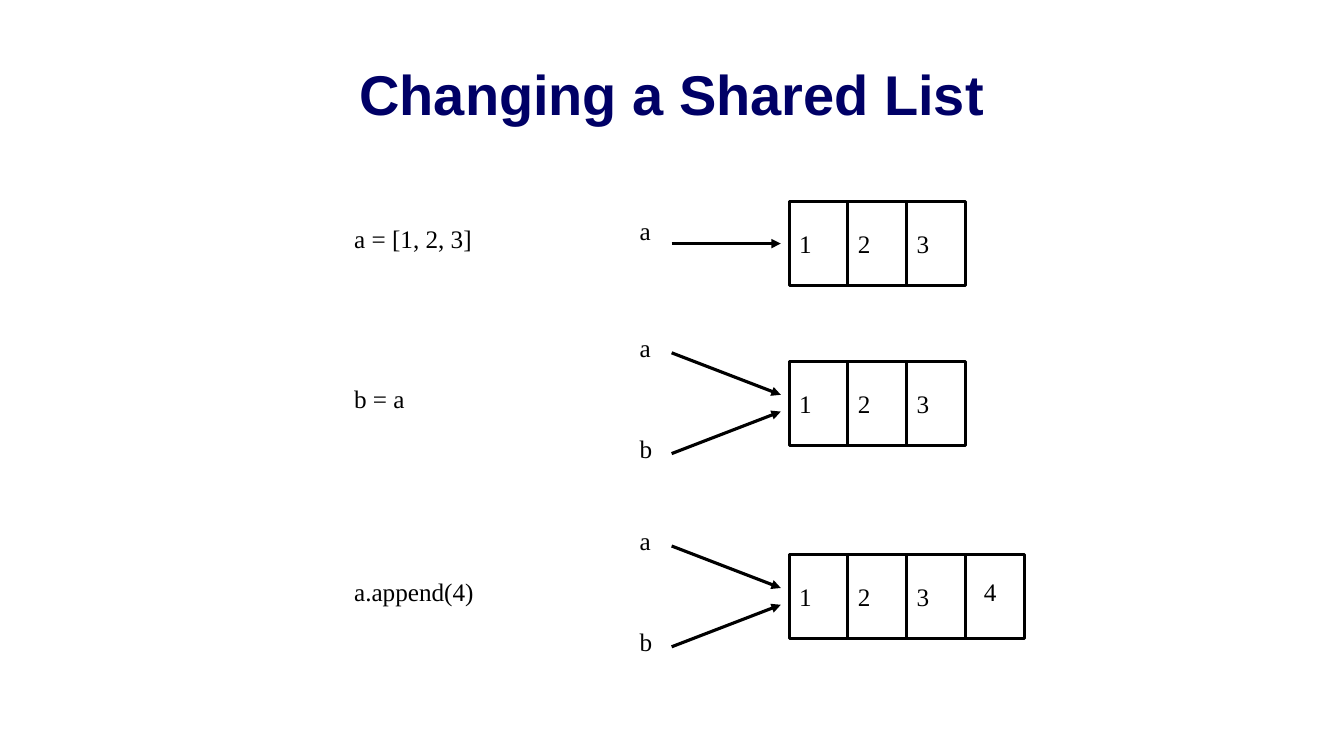
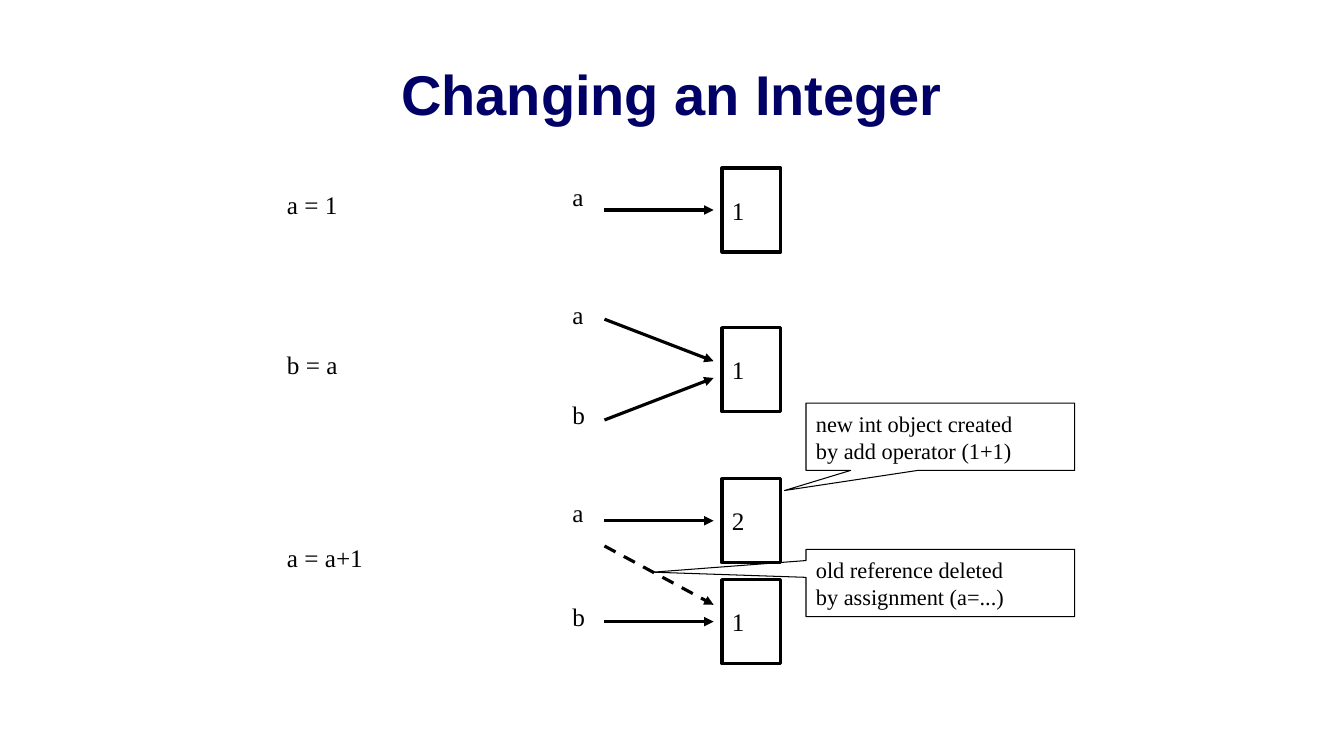
from dataclasses import dataclass

from lxml.etree import SubElement
from pptx import Presentation
from pptx.dml.color import RGBColor
from pptx.enum.dml import MSO_LINE
from pptx.enum.shapes import MSO_CONNECTOR, MSO_SHAPE
from pptx.enum.text import MSO_ANCHOR, PP_ALIGN
from pptx.oxml.ns import qn
from pptx.util import Pt


@dataclass(frozen=True)
class Theme:
    ink: RGBColor = RGBColor(0, 0, 0)
    navy: RGBColor = RGBColor(0, 0, 0x66)
    title_font: str = "Arial"
    body_font: str = "Times New Roman"
    title_size: float = 40
    body_size: float = 18
    note_size: float = 16
    heavy_line: float = 2.25
    thin_line: float = 0.75


@dataclass(frozen=True)
class Box:
    left: float
    top: float
    width: float
    height: float

    def lengths(self):
        return [Pt(n) for n in (self.left, self.top, self.width, self.height)]


@dataclass(frozen=True)
class Reference:
    name: str
    name_top: float
    start: float
    end: float
    dashed: bool = False


THEME = Theme()
CELL_WIDTH, CELL_HEIGHT = 42, 60
NAME_LEFT, ARROW_START, ARROW_END, CELLS_LEFT = 204, 234, 312, 318
CODE_TOP = 12
SINGLE = [Reference("a", 6, 30, 30)]
SHARED = [Reference("a", -24, -6, 24), Reference("b", 48, 66, 36)]


def write(shape, lines, size, anchor):
    frame = shape.text_frame
    frame.word_wrap = True
    frame.vertical_anchor = anchor
    frame.text = "\n".join(lines)
    for para in frame.paragraphs:
        para.alignment = PP_ALIGN.LEFT
        para.font.name = THEME.body_font
        para.font.size = Pt(size)
        para.font.color.rgb = THEME.ink


def draw_title(page, box, text):
    title = page.shapes.add_textbox(*box.lengths())
    write(title, [text], THEME.title_size, MSO_ANCHOR.MIDDLE)
    para = title.text_frame.paragraphs[0]
    para.alignment = PP_ALIGN.CENTER
    para.font.name = THEME.title_font
    para.font.bold = True
    para.font.color.rgb = THEME.navy


def draw_label(page, left, top, text, width=32):
    label = page.shapes.add_textbox(*Box(left, top, width, 29).lengths())
    write(label, [text], THEME.body_size, MSO_ANCHOR.TOP)


def draw_code(page, left, top, text):
    draw_label(page, left, top, text, 120)


def draw_outline(page, kind, box, weight):
    shape = page.shapes.add_shape(kind, *box.lengths())
    shape.shadow.inherit = False
    shape.fill.background()
    shape.line.color.rgb = THEME.ink
    shape.line.width = Pt(weight)
    return shape


def draw_cells(page, left, top, values):
    for index, value in enumerate(values):
        box = Box(left + index * CELL_WIDTH, top, CELL_WIDTH, CELL_HEIGHT)
        cell = draw_outline(page, MSO_SHAPE.RECTANGLE, box, THEME.heavy_line)
        if value:
            write(cell, [value], THEME.body_size, MSO_ANCHOR.MIDDLE)


def draw_arrow(page, left, top, reference):
    arrow = page.shapes.add_connector(
        MSO_CONNECTOR.STRAIGHT,
        Pt(left + ARROW_START), Pt(top + reference.start),
        Pt(left + ARROW_END), Pt(top + reference.end),
    )
    arrow.line.color.rgb = THEME.ink
    arrow.line.width = Pt(THEME.heavy_line)
    if reference.dashed:
        arrow.line.dash_style = MSO_LINE.DASH
    properties = arrow.element.spPr
    SubElement(properties.find(qn("a:ln")), qn("a:tailEnd"), type="triangle")
    SubElement(properties, qn("a:effectLst"))


def draw_object(page, left, top, references, values):
    for reference in references:
        if reference.name:
            draw_label(page, left + NAME_LEFT, top + reference.name_top, reference.name)
        draw_arrow(page, left, top, reference)
    draw_cells(page, left + CELLS_LEFT, top, values)


def draw_statement(page, left, top, code, references, values):
    draw_code(page, left, top + CODE_TOP, code)
    draw_object(page, left, top, references, values)


def draw_callout(page, box, tip, lines):
    callout = draw_outline(page, MSO_SHAPE.RECTANGULAR_CALLOUT, box, THEME.thin_line)
    callout.adjustments[0], callout.adjustments[1] = tip
    write(callout, lines, THEME.note_size, MSO_ANCHOR.MIDDLE)


def add_page(deck, title):
    page = deck.slides.add_slide(deck.slide_layouts[6])
    draw_title(page, Box(48, 21.6, 864, 90), title)
    return page


def add_list_page(deck, left):
    page = add_page(deck, "Changing a Shared List")
    values = ["1", "2", "3"]
    draw_statement(page, left, 144, "a = [1, 2, 3]", SINGLE, values)
    draw_statement(page, left, 258, "b = a", SHARED, values)
    append_top = 396
    draw_statement(page, left, append_top, "a.append(4)", SHARED, values + [""])
    appended_left = left + CELLS_LEFT + len(values) * CELL_WIDTH
    draw_label(page, appended_left + 6, append_top + CODE_TOP, "4")


def add_integer_page(deck, left):
    page = add_page(deck, "Changing an Integer")
    draw_statement(page, left, 120, "a = 1", SINGLE, ["1"])
    draw_statement(page, left, 234, "b = a", SHARED, ["1"])
    draw_code(page, left, 384, "a = a+1")
    draw_object(page, left, 342, [Reference("a", 10, 30, 30)], ["2"])
    old_references = [Reference("b", 12, 30, 30), Reference("", 0, -24, 18, True)]
    draw_object(page, left, 414, old_references, ["1"])
    draw_callout(page, Box(576, 392.4, 192, 48), (-1.07, -0.16),
                 ["old reference deleted", "by assignment (a=...)"])
    draw_callout(page, Box(576, 288, 192, 48), (-0.58, 0.8),
                 ["new int object created", "by add operator (1+1)"])


def main():
    deck = Presentation()
    deck.slide_width, deck.slide_height = Pt(960.48), Pt(540)
    add_list_page(deck, 246)
    add_integer_page(deck, 198)
    deck.save("out.pptx")


if __name__ == "__main__":
    main()
